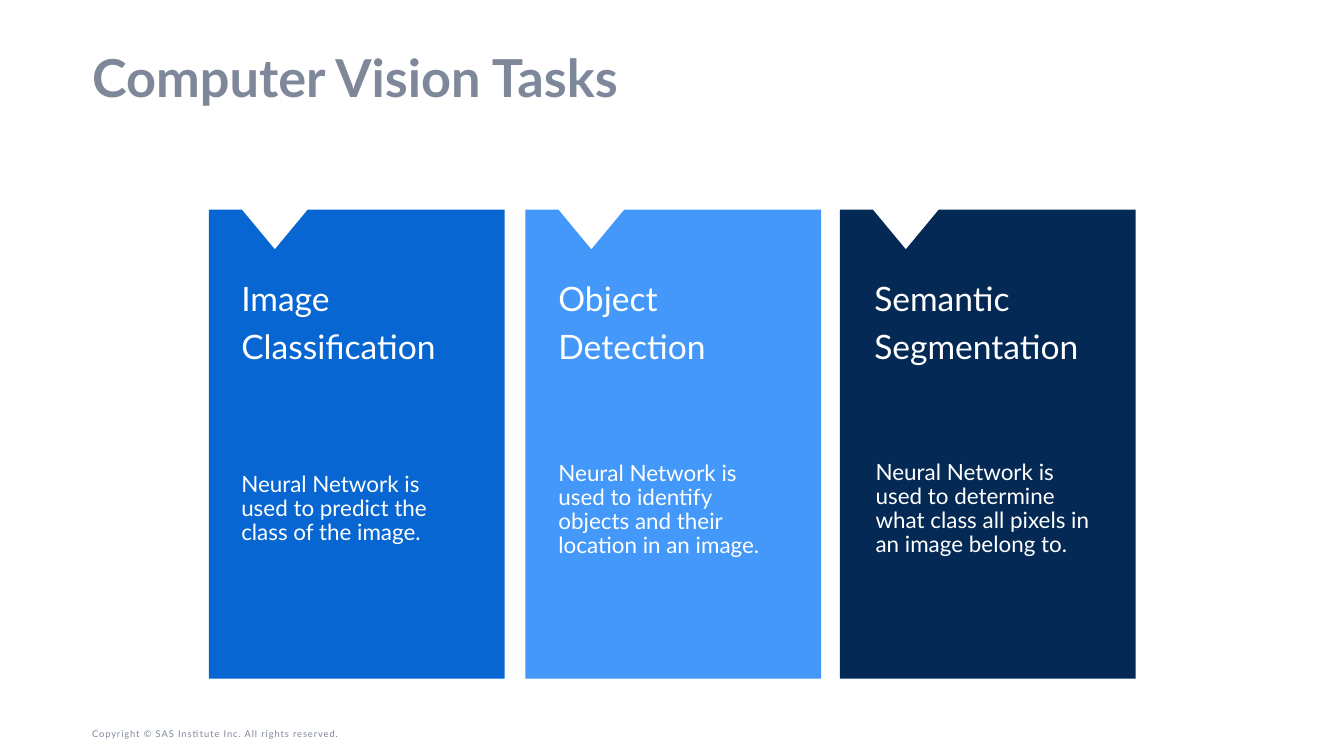
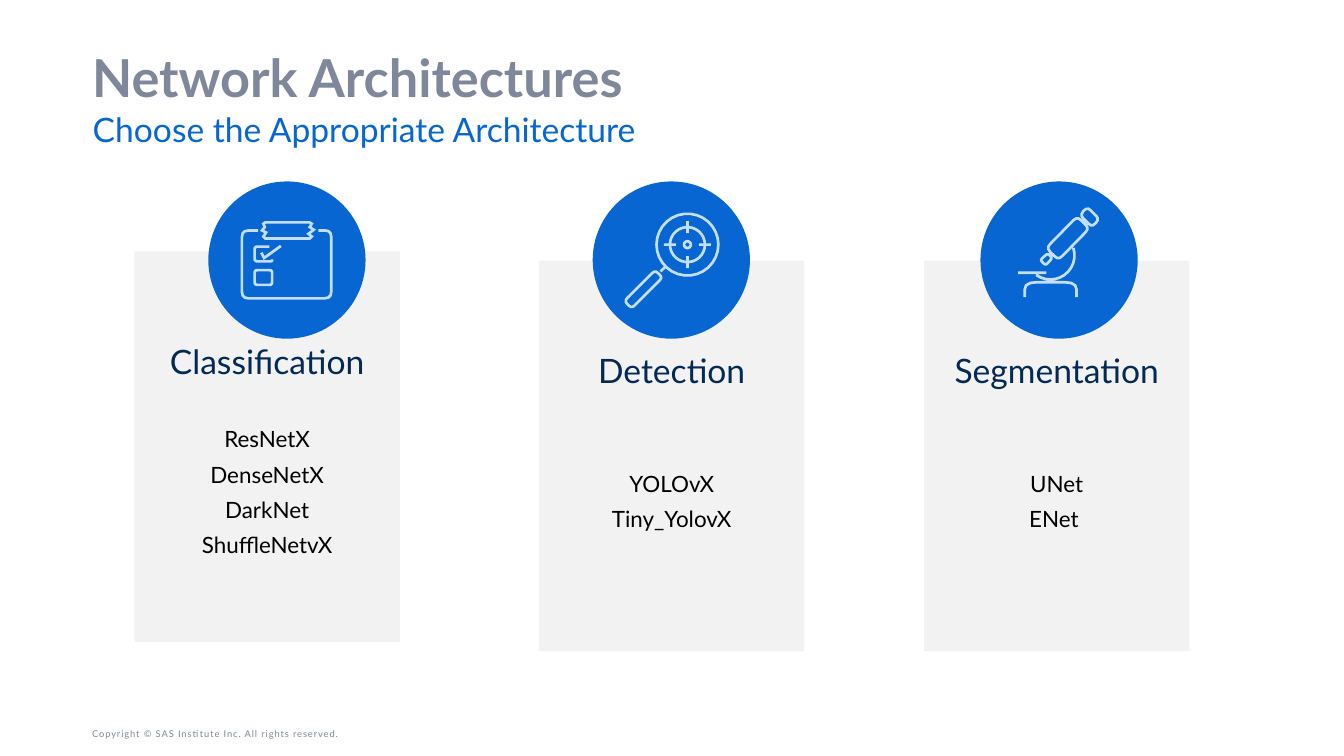
import math
from dataclasses import dataclass

import lxml.etree
import pptx
import pptx.dml.color
import pptx.enum.shapes
import pptx.enum.text
import pptx.oxml.ns
import pptx.util

Point = tuple[float, float]
Box = tuple[float, float, float, float]
Shapes = pptx.enum.shapes.MSO_SHAPE
Anchor = pptx.enum.text.MSO_ANCHOR
Align = pptx.enum.text.PP_ALIGN
qn = pptx.oxml.ns.qn

# Slide grid: 20 columns by 11.25 rows
COLUMNS, ROWS = 20, 11.25
WIDTH, HEIGHT = pptx.util.Inches(20), pptx.util.Inches(11.25)


@dataclass(frozen=True)
class Theme:
    font: str = "Lato"
    grey: str = "7E889A"
    blue: str = "0766D1"
    sky: str = "4398F9"
    navy: str = "032954"
    pale: str = "C4DEFD"
    panel: str = "F2F2F2"
    white: str = "FFFFFF"
    black: str = "000000"
    title: int = 56
    heading: int = 36
    body: int = 24
    footer: int = 10
    icon_line: float = 0.04
    gap: int = 12


THEME = Theme()


@dataclass(frozen=True)
class TaskCard:
    left: float
    heading_left: float
    text_left: float
    text_top: float
    heading: tuple[str, str]
    text: str
    color: str


@dataclass(frozen=True)
class Stroke:
    points: tuple[Point, ...]
    radius: float = 0
    closed: bool = False


@dataclass(frozen=True)
class Panel:
    left: float
    top: float
    disc_left: float
    heading: str
    heading_gap: int
    networks: tuple[str, ...]
    icon: tuple[Stroke, ...]


# Geometry helpers
def col(n: float) -> int:
    return round(WIDTH * n / COLUMNS)


def row(n: float) -> int:
    return round(HEIGHT * n / ROWS)


def place(box: Box) -> tuple[int, int, int, int]:
    x, y, w, h = box
    return col(x), row(y), col(w), row(h)


def rgb(color: str):
    return pptx.dml.color.RGBColor.from_string(color)


def arc(center: Point, radius: float, start: int, end: int) -> tuple[Point, ...]:
    return tuple((center[0] + radius * math.cos(math.radians(a)),
                  center[1] + radius * math.sin(math.radians(a)))
                 for a in range(start, end + 1, 12))


def ring(center: Point, radius: float) -> Stroke:
    return Stroke(arc(center, radius, 0, 348), closed=True)


def toward(a: Point, b: Point, radius: float) -> Point:
    share = min(radius / math.dist(a, b), 0.48)
    return a[0] + (b[0] - a[0]) * share, a[1] + (b[1] - a[1]) * share


def fillet(stroke: Stroke) -> list[Point]:
    """Round every corner of a stroke with a quadratic curve."""
    pts, n = stroke.points, len(stroke.points)
    if not stroke.radius:
        return list(pts)
    out = []
    for i, corner in enumerate(pts):
        if not stroke.closed and i in (0, n - 1):
            out.append(corner)
            continue
        a = toward(corner, pts[i - 1], stroke.radius)
        b = toward(corner, pts[(i + 1) % n], stroke.radius)
        for t in (k / 3 for k in range(4)):
            out.append(tuple((1 - t) ** 2 * a[k] + 2 * t * (1 - t) * corner[k] + t * t * b[k]
                             for k in (0, 1)))
    return out


def unit(a: Point, b: Point) -> Point:
    d = math.dist(a, b)
    return (b[0] - a[0]) / d, (b[1] - a[1]) / d


def ribbon(stroke: Stroke) -> list[list[Point]]:
    """Outline a stroke: one contour if open, an outer and an inner one if closed."""
    pts = fillet(stroke)
    steps = [unit(a, b) for a, b in zip(pts, pts[1:] + pts[:1])]
    if not stroke.closed:
        steps[-1] = steps[-2]
    sides = [], []
    for i, (x, y) in enumerate(pts):
        before = steps[i - 1] if i or stroke.closed else steps[0]
        tx, ty = before[0] + steps[i][0], before[1] + steps[i][1]
        reach = THEME.icon_line / (tx * tx + ty * ty)
        for side, sign in zip(sides, (1, -1)):
            side.append((x - sign * ty * reach, y + sign * tx * reach))
    return list(sides) if stroke.closed else [sides[0] + sides[1][::-1]]


# Drawing helpers
def frame(tf, insets: Box, anchor=Anchor.TOP) -> None:
    tf.word_wrap = True
    tf.auto_size = pptx.enum.text.MSO_AUTO_SIZE.NONE
    tf.vertical_anchor = anchor
    tf.margin_left, tf.margin_top, tf.margin_right, tf.margin_bottom = place(insets)


def write(p, text: str, size: int, color: str, bold: bool = False, align=Align.LEFT,
          line: float = 0.9, after: float = 0):
    p.alignment, p.line_spacing = align, line
    p.space_before, p.space_after = pptx.util.Pt(0), pptx.util.Pt(after)
    r = p.add_run()
    r.text = text
    r.font.name, r.font.size, r.font.bold = THEME.font, pptx.util.Pt(size), bold
    r.font.color.rgb = rgb(color)
    return r


def fill_flat(sp, color: str) -> None:
    sp.shadow.inherit = False
    sp.fill.solid()
    sp.fill.fore_color.rgb = rgb(color)
    sp.line.fill.background()


def draw_outline(s, left: float, top: float, contours: list[list[Point]], color: str) -> None:
    """Draw contours, measured from left and top, as one filled shape."""
    paths = [[(col(left + x), row(top + y)) for x, y in c] for c in contours]
    builder = s.shapes.build_freeform(*paths[0][0], scale=1.0)
    for i, pts in enumerate(paths):
        if i:
            builder.move_to(*pts[0])
        builder.add_line_segments(pts[1:], close=True)
    fill_flat(builder.convert_to_shape(), color)


def text_box(s, box: Box, lines: tuple[str, ...], size: int, anchor=Anchor.TOP) -> None:
    tf = s.shapes.add_textbox(*place(box)).text_frame
    frame(tf, (0.2, 0.1, 0.2, 0.1), anchor)
    for i, line in enumerate(lines):
        p = tf.add_paragraph() if i else tf.paragraphs[0]
        write(p, line, size, THEME.white, after=THEME.gap)


def fill_placeholder(sp, box: Box, text: str, size: int, color: str,
                     anchor=Anchor.TOP, line: float = 0.9, bold: bool = False) -> None:
    sp.left, sp.top, sp.width, sp.height = place(box)
    frame(sp.text_frame, (0, 0, 0, 0), anchor)
    p = sp.text_frame.paragraphs[0]
    pPr = p._p.get_or_add_pPr()
    pPr.set("marL", "0")
    pPr.set("indent", "0")
    lxml.etree.SubElement(pPr, qn("a:buNone"))
    write(p, text, size, color, bold=bold, line=line)


def new_slide(prs, title: str, subtitle: str = ""):
    s = prs.slides.add_slide(prs.slide_layouts[1 if subtitle else 5])
    fill_placeholder(s.shapes.title, (1.37, 0.78, 17.25, 0.85), title,
                     THEME.title, THEME.grey, Anchor.MIDDLE, bold=True)
    if subtitle:
        fill_placeholder(s.placeholders[1], (1.38, 1.71, 17.25, 0.6), subtitle,
                         THEME.heading, THEME.blue, line=0.85)
    tf = s.shapes.add_textbox(*place((1.37, 10.78, 5.5, 0.27))).text_frame
    frame(tf, (0, 0.05, 0.1, 0.05), Anchor.BOTTOM)
    r = write(tf.paragraphs[0], "Copyright © SAS Institute Inc. All rights reserved.",
              THEME.footer, THEME.grey, line=1.0)
    r.font._element.set("spc", "100")
    return s


# Icons, measured from the top left of their disc
CLIPBOARD = (
    Stroke(((0.74, 0.73), (0.5, 0.73), (0.5, 1.74), (1.83, 1.74), (1.83, 0.73),
            (1.64, 0.73)), 0.1),
    Stroke(((0.82, 0.63), (0.84, 0.68), (0.8, 0.73), (0.86, 0.76), (0.82, 0.82),
            (0.85, 0.85), (1.51, 0.85), (1.54, 0.82), (1.49, 0.78), (1.57, 0.72),
            (1.51, 0.68), (1.54, 0.63), (1.51, 0.61), (0.85, 0.61)), closed=True),
    Stroke(((0.91, 0.97), (0.69, 0.97), (0.69, 1.19), (0.95, 1.19), (0.95, 1.16)), 0.04),
    Stroke(((0.79, 1.06), (0.83, 1.14), (1.08, 0.96))),
    Stroke(((0.69, 1.32), (0.95, 1.32), (0.95, 1.54), (0.69, 1.54)), 0.04, True),
)
LENS = (1.41, 0.94)
MAGNIFIER = (
    *(ring(LENS, radius) for radius in (0.46, 0.26, 0.05)),
    *(Stroke(tuple((LENS[0] + dx * d, LENS[1] + dy * d) for d in span))
      for dx, dy in ((1, 0), (0, 1), (-1, 0), (0, -1))
      for span in ((0.17, 0.24), (0.28, 0.35))),
    Stroke(((1.01, 1.34), (1.07, 1.28))),
    Stroke(((0.93, 1.32), (1.04, 1.43), (0.58, 1.89), (0.47, 1.78)), 0.06, True),
)
MICROSCOPE = (
    Stroke(((1.59, 0.38), (1.77, 0.56), (1.66, 0.68), (1.48, 0.5)), 0.07, True),
    Stroke(((1.44, 0.52), (1.62, 0.7), (1.16, 1.17), (0.98, 0.99)), 0.08, True),
    Stroke(((1.0, 1.07), (1.07, 1.14), (0.97, 1.25), (0.89, 1.17)), 0.04, True),
    Stroke(arc((1.04, 1.1), 0.36, -18, 126)),
    Stroke(((0.56, 1.36), (0.98, 1.36))),
    Stroke(((0.66, 1.72), (0.66, 1.5), (1.43, 1.5), (1.43, 1.72)), 0.18),
)

# Content
TASKS = (
    TaskCard(3.11, 3.39, 3.39, 5.62, ("Image", "Classification"),
             "Neural Network is used to predict the class of the image.", THEME.blue),
    TaskCard(7.82, 8.11, 8.11, 5.63, ("Object", "Detection"),
             "Neural Network is used to identify objects and their location in an image.",
             THEME.sky),
    TaskCard(12.5, 12.81, 12.83, 5.62, ("Semantic", "Segmentation"),
             "Neural Network is used to determine what class all pixels in an image belong to.",
             THEME.navy),
)
PANELS = (
    Panel(2, 3.74, 3.1, "Classification", 50,
          ("ResNetX", "DenseNetX", "DarkNet", "ShuffleNetvX"), CLIPBOARD),
    Panel(8.02, 3.88, 8.82, "Detection", 88, ("YOLOvX", "Tiny_YolovX"), MAGNIFIER),
    Panel(13.75, 3.88, 14.59, "Segmentation", 88, ("UNet", "ENet "), MICROSCOPE),
)


# Slides
def tasks_slide(prs) -> None:
    s = new_slide(prs, "Computer Vision Tasks")
    notched = [(0, 0), (0.49, 0), (0.98, 0.59), (1.47, 0), (4.4, 0), (4.4, 6.98), (0, 6.98)]
    for task in TASKS:
        draw_outline(s, task.left, 3.12, [notched], task.color)
        text_box(s, (task.heading_left, 4.11, 3.78, 1.52), task.heading, THEME.heading)
        text_box(s, (task.text_left, task.text_top, 3.78, 3.92), (task.text,),
                 THEME.body, Anchor.MIDDLE)


def networks_slide(prs) -> None:
    s = new_slide(prs, "Network Architectures", "Choose the Appropriate Architecture")
    disc_top, disc_size = 2.7, 2.34
    for panel in PANELS:
        sp = s.shapes.add_shape(Shapes.ROUNDED_RECTANGLE,
                                *place((panel.left, panel.top, 3.95, 5.81)))
        sp.adjustments[0] = 0
        fill_flat(sp, THEME.panel)
        tf = sp.text_frame
        frame(tf, (0.4, 1.4, 0.4, 0.1))
        write(tf.paragraphs[0], panel.heading, THEME.heading, THEME.navy,
              align=Align.CENTER, after=panel.heading_gap)
        for network in panel.networks:
            write(tf.add_paragraph(), network, THEME.body, THEME.black,
                  align=Align.CENTER, after=THEME.gap)
        disc = s.shapes.add_shape(Shapes.OVAL, *place(
            (panel.disc_left, disc_top, disc_size, disc_size)))
        fill_flat(disc, THEME.blue)
        contours = [contour for stroke in panel.icon for contour in ribbon(stroke)]
        draw_outline(s, panel.disc_left, disc_top, contours, THEME.pale)


def main() -> None:
    prs = pptx.Presentation()
    prs.slide_width, prs.slide_height = WIDTH, HEIGHT
    tasks_slide(prs)
    networks_slide(prs)
    prs.save("out.pptx")


if __name__ == "__main__":
    main()
